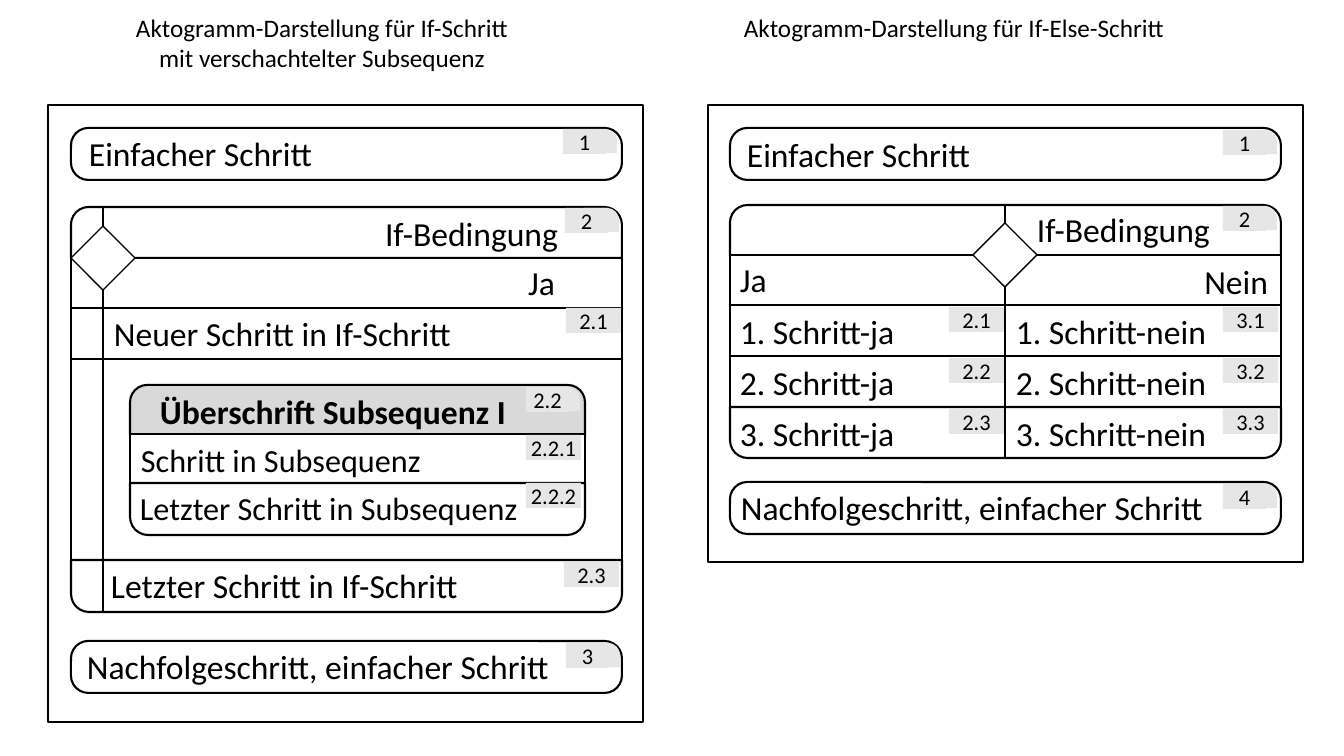
import pptx
import pptx.util
import pptx.dml.color
import pptx.enum.shapes
import pptx.enum.text
import pptx.oxml
import pptx.oxml.ns
from dataclasses import dataclass


@dataclass(frozen=True)
class Theme:
    font: str = "Calibri"
    ink: str = "000000"
    paper: str = "FFFFFF"
    heading: str = "D9D9D9"
    badge: str = "E7E6E6"
    caption_size: int = 18
    step_size: int = 24
    substep_size: int = 23
    badge_size: int = 16
    border: float = 1.5
    thin_border: float = 1


THEME = Theme()
SCALE = 914400 / 100.8
KIND = pptx.enum.shapes.MSO_SHAPE
ALIGN = pptx.enum.text.PP_ALIGN

FORMS = {
    "single": (KIND.ROUNDED_RECTANGLE, [0.335], 0),
    "head": (KIND.ROUND_2_SAME_RECTANGLE, [0.346, 0], 0),
    "middle": (KIND.RECTANGLE, [], 0),
    "foot": (KIND.ROUND_2_SAME_RECTANGLE, [0.346, 0], 180),
    "corner": (KIND.ROUND_2_SAME_RECTANGLE, [0.5, 0], 0),
    "diamond": (KIND.DIAMOND, [], 0),
}

CAPTIONS = [
    (["Aktogramm-Darstellung für If-Schritt", "mit verschachtelter Subsequenz"], 5, 71),
    (["Aktogramm-Darstellung für If-Else-Schritt"], 637, 40),
]
PANELS = [(48, 105, 595, 617), (708, 105, 595, 457)]

ROWS = [
    (71, 551, THEME.paper, [
        ("single", 128, 52), ("head", 207, 51), ("middle", 258, 51), ("middle", 308, 51),
        ("middle", 359, 202), ("foot", 560, 52), ("single", 641, 52)]),
    (130, 455, THEME.heading, [("head", 385, 50)]),
    (130, 455, THEME.paper, [("middle", 434, 51), ("foot", 483, 52)]),
    (730, 551, THEME.paper, [
        ("single", 128, 52), ("head", 205, 51), ("middle", 255, 51), ("middle", 305, 51),
        ("middle", 356, 51), ("foot", 407, 51), ("single", 482, 52)]),
]
STEMS = [(103, 208, 611, 258), (1005, 205, 459, 255)]

STEPS = [
    ("Einfacher Schritt", 79, 128, 486),
    ("Neuer Schritt in If-Schritt", 104, 308, 443),
    ("Letzter Schritt in If-Schritt", 101, 560, 443),
    ("Nachfolgeschritt, einfacher Schritt", 77, 641, 486),
    ("Einfacher Schritt", 737, 129, 486),
    ("If-Bedingung", 1027, 204, 197),
    ("Ja", 730, 254, 274),
    ("Nachfolgeschritt, einfacher Schritt", 731, 482, 486),
]
RIGHT_STEPS = [
    ("If-Bedingung", 255, 208, 313),
    ("Ja", 104, 257, 461),
    ("Nein", 1004, 256, 274),
]
SUBHEADING = ("Überschrift Subsequenz I", 150, 386, 435)
SUBSTEPS = [
    ("Schritt in Subsequenz", 131, 435, 390),
    ("Letzter Schritt in Subsequenz", 130, 483, 412),
]
CORNER_BADGES = [
    ("1", 563, 129), ("2", 565, 208), ("2.2", 526, 387), ("3", 566, 643),
    ("1", 1223, 130), ("2", 1223, 206), ("4", 1223, 484),
]
BADGES = [("2.1", 566, 308), ("2.2.1", 526, 435), ("2.2.2", 526, 483), ("2.3", 564, 562)]
BRANCHES = [("ja", "2", 730, 949), ("nein", "3", 1006, 1223)]
BRANCH_TOP, BRANCH_PITCH, BRANCH_STEPS = 305, 51, 3


def px(*values):
    return [round(value * SCALE) for value in values]


def colour(code):
    return pptx.dml.color.RGBColor.from_string(code)


def add_box(page, form, bounds, fill=THEME.paper, border=THEME.border):
    kind, adjustments, rotation = FORMS[form]
    box = page.shapes.add_shape(kind, *px(*bounds))
    for index, value in enumerate(adjustments):
        box.adjustments[index] = value
    box.rotation = rotation
    box.shadow.inherit = False
    box.fill.solid()
    box.fill.fore_color.rgb = colour(fill)
    if border:
        box.line.color.rgb = colour(THEME.ink)
        box.line.width = pptx.util.Pt(border)
    else:
        box.line.fill.background()
    return box


def write(box, lines, size, align=ALIGN.LEFT, bold=False):
    frame = box.text_frame
    frame.word_wrap = True
    frame.text = "\n".join(lines)
    for para in frame.paragraphs:
        para.alignment = align
        for span in para.runs:
            span.font.name = THEME.font
            span.font.size = pptx.util.Pt(size)
            span.font.bold = bold
            span.font.color.rgb = colour(THEME.ink)


def add_label(page, lines, bounds, size=THEME.step_size, align=ALIGN.LEFT, bold=False):
    label = page.shapes.add_textbox(*px(*bounds))
    write(label, lines, size, align, bold)
    label.text_frame.auto_size = pptx.enum.text.MSO_AUTO_SIZE.SHAPE_TO_FIT_TEXT


def add_badge(page, number, left, top, width=55):
    badge = add_box(page, "middle", (left, top, width, 25), THEME.badge, None)
    frame = badge.text_frame
    frame.margin_left = frame.margin_right = px(4)[0]
    frame.margin_top = frame.margin_bottom = px(5)[0]
    frame.vertical_anchor = pptx.enum.text.MSO_ANCHOR.MIDDLE
    write(badge, [number], THEME.badge_size, ALIGN.CENTER)


def add_stem(page, x, top, bottom, decision):
    stem = page.shapes.add_connector(
        pptx.enum.shapes.MSO_CONNECTOR.STRAIGHT, *px(x, top, x, bottom))
    stem.line.color.rgb = colour(THEME.ink)
    stem.line.width = pptx.util.Pt(THEME.border)
    properties = stem._element.spPr
    properties.append(pptx.oxml.parse_xml(
        "<a:effectLst %s/>" % pptx.oxml.ns.nsdecls("a")))
    add_box(page, "diamond", (x - 32, decision - 32, 64, 64), border=THEME.thin_border)


deck = pptx.Presentation()
deck.slide_width, deck.slide_height = px(1344, 756)
page = deck.slides.add_slide(deck.slide_layouts[6])

for lines, left, height in CAPTIONS:
    add_label(page, lines, (left, 7, 634, height), THEME.caption_size, ALIGN.CENTER)
for panel in PANELS:
    add_box(page, "middle", panel)
for left, width, fill, rows in ROWS:
    for form, top, height in rows:
        add_box(page, form, (left, top, width, height), fill)
for stem in STEMS:
    add_stem(page, *stem)

for number, left, top in CORNER_BADGES:
    add_box(page, "corner", (left + 7, top, 47, 24), THEME.badge, None)
    add_badge(page, number, left, top, 43)
for badge in BADGES:
    add_badge(page, *badge)

for text, left, top, width in STEPS:
    add_label(page, [text], (left, top, width, 50))
for text, left, top, width in RIGHT_STEPS:
    add_label(page, [text], (left, top, width, 50), align=ALIGN.RIGHT)
for text, left, top, width in SUBSTEPS:
    add_label(page, [text], (left, top, width, 49), THEME.substep_size)
text, left, top, width = SUBHEADING
add_label(page, [text], (left, top, width, 50), bold=True)

for answer, group, left, badge_left in BRANCHES:
    for index in range(BRANCH_STEPS):
        top = BRANCH_TOP + index * BRANCH_PITCH
        add_badge(page, f"{group}.{index + 1}", badge_left, top + 2)
        add_label(page, [f"{index + 1}. Schritt-{answer}"], (left, top + 1, 274, 50))

deck.save("out.pptx")
